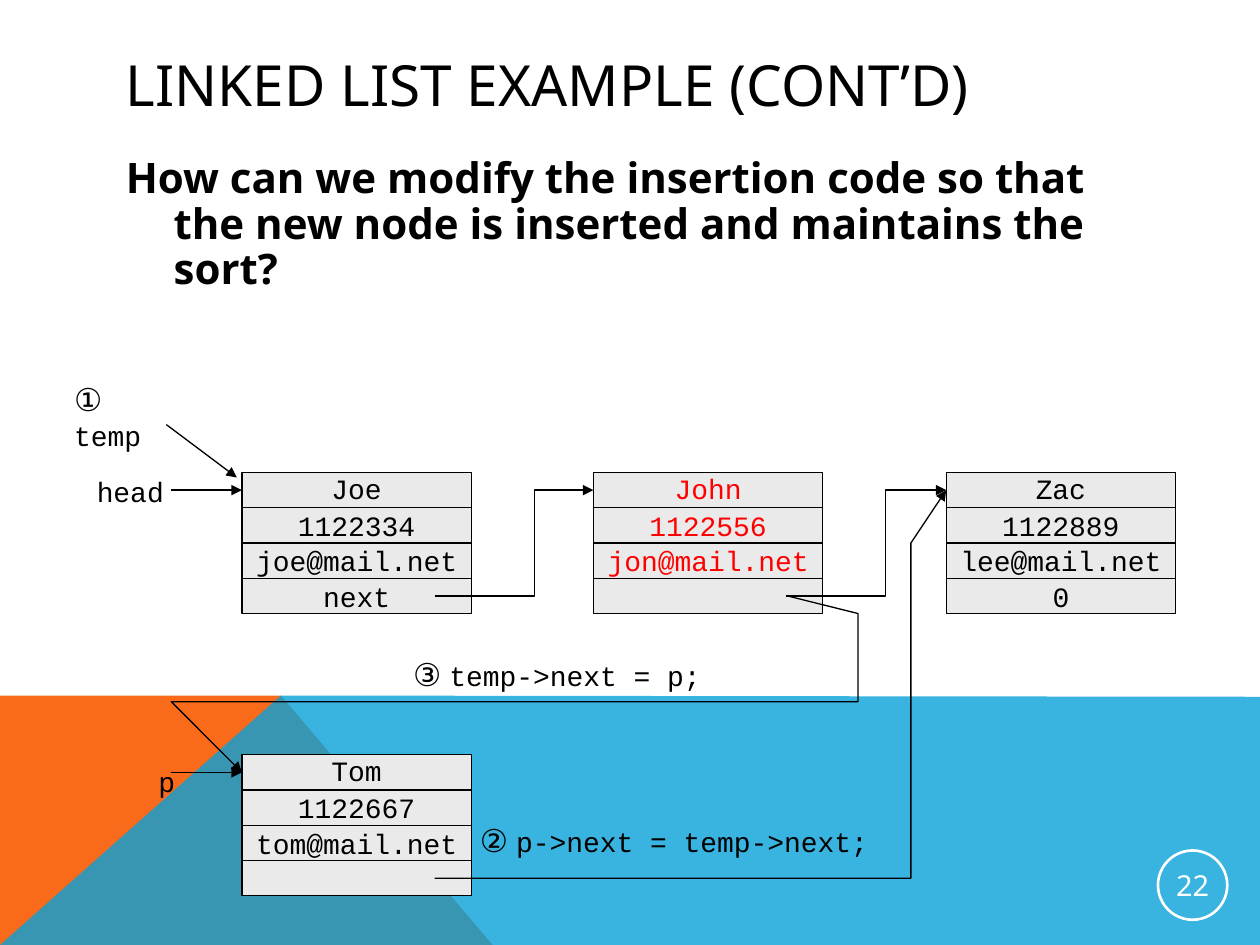
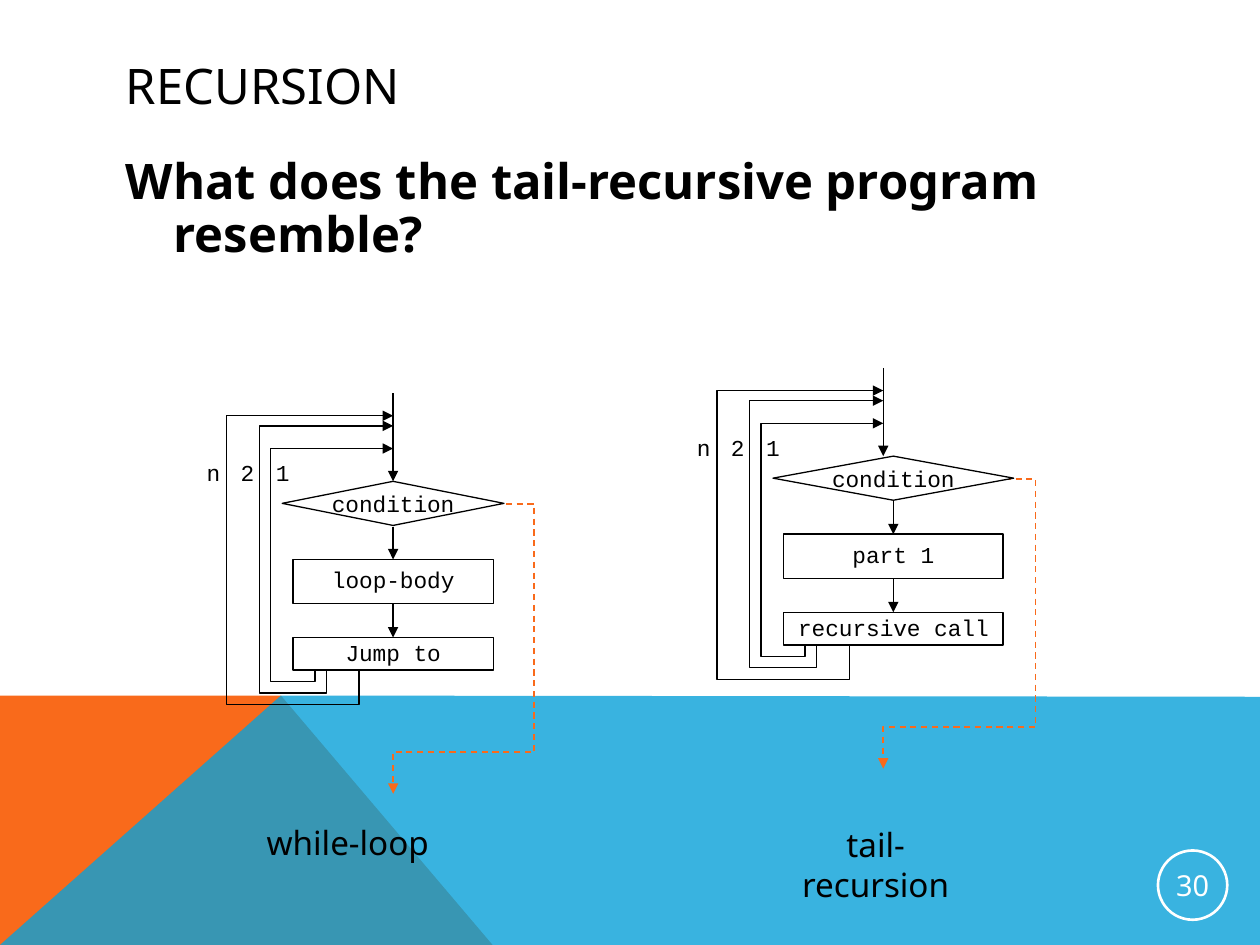
from dataclasses import dataclass

from lxml import etree
from pptx import Presentation
from pptx.dml.color import RGBColor
from pptx.enum.dml import MSO_LINE
from pptx.enum.shapes import MSO_CONNECTOR, MSO_SHAPE
from pptx.enum.text import MSO_ANCHOR, MSO_AUTO_SIZE, PP_ALIGN
from pptx.oxml.ns import qn
from pptx.util import Inches, Pt

RECT = MSO_SHAPE.RECTANGLE
OVAL = MSO_SHAPE.OVAL
DECISION = MSO_SHAPE.FLOWCHART_DECISION
STRAIGHT = MSO_CONNECTOR.STRAIGHT
DASH = MSO_LINE.DASH
TOP, MIDDLE = MSO_ANCHOR.TOP, MSO_ANCHOR.MIDDLE
LEFT, CENTER = PP_ALIGN.LEFT, PP_ALIGN.CENTER
FIT = MSO_AUTO_SIZE.SHAPE_TO_FIT_TEXT

SANS, MONO = "Noto Sans", "Courier New"
BLACK, WHITE, RED = "000000", "FFFFFF", "FF0000"
ORANGE, BLUE, GREY = "F96A1B", "08A1D9", "EAEAEA"

Point = tuple[float, float]
Box = tuple[float, float, float, float]


@dataclass(frozen=True)
class Node:
    left: float
    top: float
    rows: tuple[str, ...]
    color: str = BLACK


@dataclass(frozen=True)
class Loop:
    label: str
    label_dx: float
    start_dx: float
    side_dx: float
    bottom: float
    top: float


@dataclass(frozen=True)
class Flow:
    x: float
    top: float
    node_x: float
    diamond_w: float
    box_w: float
    exit_dx: float
    body: str
    jump: str
    caption: str
    caption_box: Box


NODE_W, ROW_H = 1.82, 0.28
COLUMNS = (1.92, 4.71, 7.51)
NODES = (
    Node(COLUMNS[0], 3.75, ("Joe", "1122334", "joe@mail.net", "next")),
    Node(COLUMNS[1], 3.75, ("John", "1122556", "jon@mail.net", ""), RED),
    Node(COLUMNS[2], 3.75, ("Zac", "1122889", "lee@mail.net", "0")),
    Node(COLUMNS[0], 5.99, ("Tom", "1122667", "tom@mail.net", "")),
)
LOOPS = (
    Loop("1", -0.93, -0.62, -0.97, 2.29, 0.44),
    Loop("2", -1.21, -0.53, -1.06, 2.38, 0.26),
    Loop("n", -1.48, -0.27, -1.32, 2.47, 0.18),
)
FLOWS = (
    Flow(3.12, 3.12, 3.12, 1.76, 1.59, 1.12, "loop-body", "Jump to",
         "while-loop", (1.58, 6.48, 2.36, 0.42)),
    Flow(7.01, 2.92, 7.09, 1.91, 1.74, 1.21, "part 1", "recursive call",
         "tail-recursion", (6.07, 6.49, 1.76, 0.42)),
)


def rgb(color: str) -> RGBColor:
    return RGBColor.from_string(color)


def add_run(p, text: str, size: float, font: str, color: str = BLACK, bold: bool = False):
    r = p.add_run()
    r.text = text
    r.font.size, r.font.name, r.font.bold = Pt(size), font, bold
    r.font.color.rgb = rgb(color)


def set_text(sp, text: str, *, size: float = 16, font: str = MONO, color: str = BLACK,
             bold: bool = False, align=LEFT, anchor=TOP, wrap: bool = True,
             inset: Point = (0.1, 0.05), spacing: float = 1.0, prefix: str = ""):
    tf = sp.text_frame
    tf.word_wrap = wrap
    tf.vertical_anchor = anchor
    tf.margin_left = tf.margin_right = Inches(inset[0])
    tf.margin_top = tf.margin_bottom = Inches(inset[1])
    p = tf.paragraphs[0]
    p.alignment = align
    p.line_spacing = spacing
    if prefix:
        add_run(p, prefix + " ", 18, SANS)
    add_run(p, text, size, font, color, bold)
    return p


def add_text(s, box: Box, text: str, grow: bool = True, **fmt):
    sp = s.shapes.add_textbox(*map(Inches, box))
    p = set_text(sp, text, **fmt)
    if grow:
        sp.text_frame.auto_size = FIT
    return p


def add_box(s, kind, box: Box, fill: str = "", line: str = BLACK, width: float = 0.75):
    sp = s.shapes.add_shape(kind, *map(Inches, box))
    sp.shadow.inherit = False
    if fill:
        sp.fill.solid()
        sp.fill.fore_color.rgb = rgb(fill)
    else:
        sp.fill.background()
    sp.line.color.rgb = rgb(line)
    sp.line.width = Pt(width)
    return sp


def outline(s, points: list[Point], close: bool):
    (x, y), *rest = [(Inches(a), Inches(b)) for a, b in points]
    fb = s.shapes.build_freeform(x, y)
    fb.add_line_segments(rest, close=close)
    sp = fb.convert_to_shape()
    sp.shadow.inherit = False
    return sp


def add_band(s, points: list[Point], color: str, opacity: int = 100) -> None:
    sp = outline(s, points, True)
    sp.fill.solid()
    sp.fill.fore_color.rgb = rgb(color)
    sp.line.fill.background()
    if opacity < 100:
        clr = sp.element.spPr.find(qn("a:solidFill"))[0]
        etree.SubElement(clr, qn("a:alpha"), val=str(opacity * 1000))


def add_arrow(s, *points: Point, color: str = BLACK, width: float = 0.75, dash=None) -> None:
    if len(points) == 2:
        ends = [Inches(v) for point in points for v in point]
        sp = s.shapes.add_connector(STRAIGHT, *ends)
        etree.SubElement(sp.element.spPr, qn("a:effectLst"))
    else:
        sp = outline(s, list(points), False)
        sp.fill.background()
    sp.line.color.rgb = rgb(color)
    sp.line.width = Pt(width)
    if dash:
        sp.line.dash_style = dash
    ln = sp.element.spPr.find(qn("a:ln"))
    etree.SubElement(ln, qn("a:tailEnd"), type="triangle")


def new_slide(prs, title: str, question: str, number: int, title_size: float, size: float):
    s = prs.slides.add_slide(prs.slide_layouts[6])
    add_band(s, [(0, 7.5), (0, 5.52), (2.23, 5.52), (3.91, 7.5)], ORANGE)
    add_band(s, [(0, 7.5), (2.23, 5.52), (10, 5.53), (10, 7.5)], BLUE, 80)
    add_text(s, (0.9, 0.4, 8.22, 0.6), title, grow=False, size=title_size, font=SANS,
             anchor=MIDDLE, spacing=0.9)
    p = add_text(s, (0.9, 1.2, 8.22, 3.91), question, grow=False, size=size, font=SANS,
                 bold=True, spacing=0.9)
    p.space_before = Pt(8)
    pPr = p._p.get_or_add_pPr()
    pPr.set("marL", str(Inches(0.38)))
    pPr.set("indent", str(Inches(-0.38)))
    sp = add_box(s, OVAL, (9.19, 6.75, 0.55, 0.55), line=WHITE, width=1.5)
    set_text(sp, str(number), size=16.5, font=SANS, color=WHITE, align=CENTER,
             anchor=MIDDLE, inset=(0.01, 0.01))
    return s


def add_node(s, node: Node) -> None:
    for i, text in enumerate(node.rows):
        sp = add_box(s, RECT, (node.left, node.top + i * ROW_H, NODE_W, ROW_H), GREY)
        if text:
            set_text(sp, text, color=node.color, align=CENTER, anchor=MIDDLE,
                     wrap=False, spacing=1.0 if i else 0.9)


def add_flow(s, flow: Flow) -> None:
    x, y, nx = flow.x, flow.top, flow.node_x
    fmt = {"size": 13, "align": CENTER, "inset": (0.11, 0.05)}
    add_text(s, flow.caption_box, flow.caption, **{**fmt, "size": 19, "font": SANS})
    exit_x = x + flow.exit_dx
    add_arrow(s, (nx + flow.diamond_w / 2 - 0.07, y + 0.88), (exit_x, y + 0.88),
              (exit_x, y + 2.85), (x, y + 2.85), (x, y + 3.18),
              color=ORANGE, width=0.88, dash=DASH)
    for loop in LOOPS:
        add_text(s, (x + loop.label_dx, y + 0.52, 0.11, 0.21), loop.label, size=13,
                 wrap=False, inset=(0, 0))
        start, side = x + loop.start_dx, x + loop.side_dx
        add_arrow(s, (start, y + 2.2), (start, y + loop.bottom), (side, y + loop.bottom),
                  (side, y + loop.top), (x, y + loop.top))
    add_arrow(s, (x, y), (x, y + 0.7))
    add_arrow(s, (nx, y + 1.06), (nx, y + 1.32))
    add_arrow(s, (nx, y + 1.67), (nx, y + 1.94))
    sp = add_box(s, DECISION, (nx - flow.diamond_w / 2, y + 0.7, flow.diamond_w, 0.35), WHITE)
    set_text(sp, "condition", anchor=MIDDLE, wrap=False, **fmt)
    left = nx - flow.box_w / 2
    sp = add_box(s, RECT, (left, y + 1.32, flow.box_w, 0.35), WHITE, width=0.88)
    set_text(sp, flow.body, **fmt)
    sp = add_box(s, RECT, (left, y + 1.94, flow.box_w, 0.26), WHITE, width=0.88)
    set_text(sp, flow.jump, spacing=0.8, **fmt)


def linked_list_slide(prs) -> None:
    s = new_slide(prs, "LINKED LIST EXAMPLE (CONT’D)",
                  "How can we modify the insertion code so that the new node is "
                  "inserted and maintains the sort?", 22, 32.4, 24)
    for node in NODES:
        add_node(s, node)
    for left, target in zip(COLUMNS, COLUMNS[1:]):
        start, bend = left + 1.53, left + 2.32
        add_arrow(s, (start, 4.73), (bend, 4.73), (bend, 3.89), (target, 3.89))
    for y in (3.89, 6.13):
        add_arrow(s, (1.36, y), (COLUMNS[0], y))
    add_arrow(s, (1.32, 3.37), (1.88, 3.79))
    add_text(s, (0.67, 3.72, 0.74, 0.37), "head", wrap=False)
    add_text(s, (1.16, 6.02, 0.34, 0.37), "p", wrap=False)
    add_text(s, (0.49, 2.97, 1.0, 0.4), "temp", prefix="①")
    add_text(s, (3.18, 5.15, 2.49, 0.4), "temp->next = p;", prefix="③", wrap=False)
    add_text(s, (3.71, 6.47, 3.29, 0.4), "p->next = temp->next;", prefix="②", wrap=False)
    add_arrow(s, (6.25, 4.73), (6.81, 4.87), (6.81, 5.57), (1.36, 5.57), (1.92, 6.13))
    add_arrow(s, (3.45, 6.97), (7.23, 6.97), (7.23, 4.31), (7.51, 3.89))


def recursion_slide(prs) -> None:
    s = new_slide(prs, "RECURSION", "What does the tail-recursive program resemble?",
                  30, 28, 28)
    for flow in FLOWS:
        add_flow(s, flow)


def main() -> None:
    prs = Presentation()
    prs.slide_width, prs.slide_height = Inches(10), Inches(7.5)
    linked_list_slide(prs)
    recursion_slide(prs)
    prs.save("out.pptx")


main()
